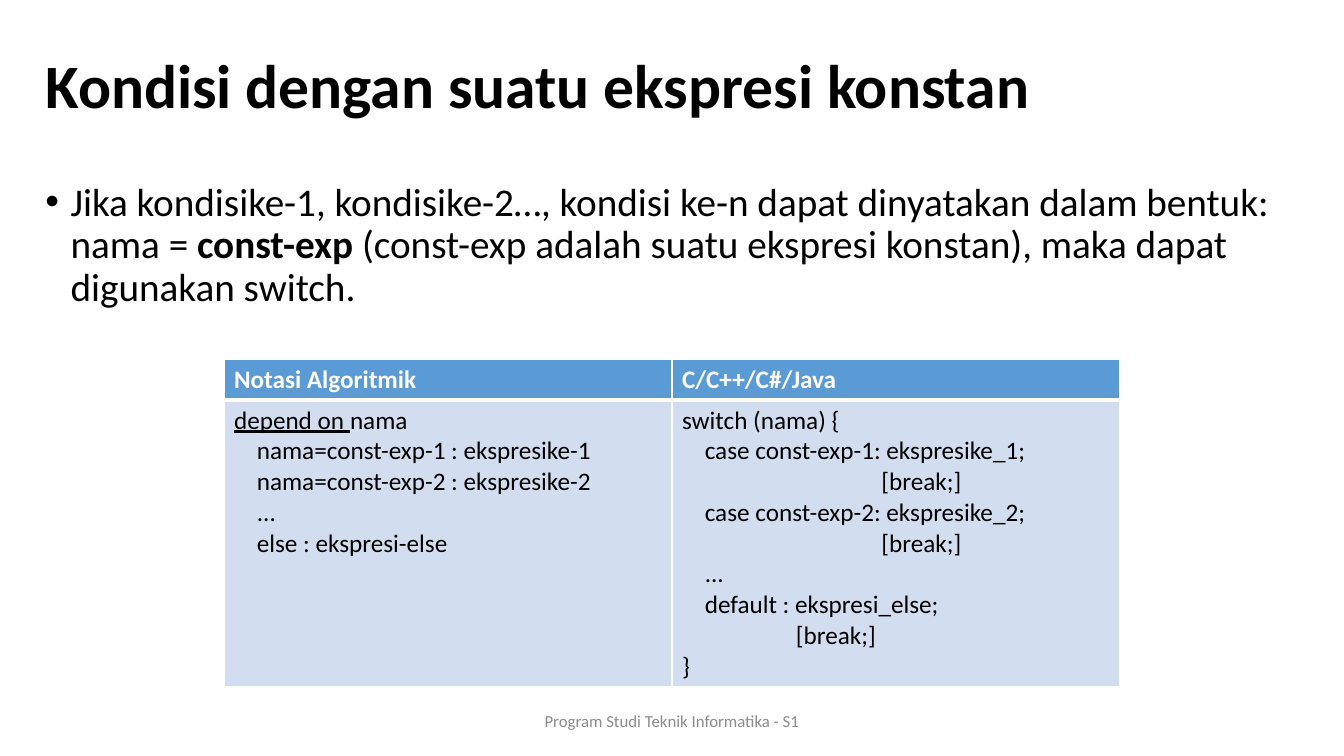
from dataclasses import dataclass

from lxml.etree import SubElement
from pptx import Presentation
from pptx.dml.color import RGBColor
from pptx.enum.text import MSO_ANCHOR as Anchor, MSO_AUTO_SIZE as AutoSize, PP_ALIGN as Align
from pptx.oxml.ns import qn
from pptx.util import Pt


@dataclass(frozen=True)
class Theme:
    font: str = "Calibri"
    text: str = "000000"
    white: str = "FFFFFF"
    header: str = "5B9BD5"
    cell: str = "D2DEEF"
    footer: str = "8C8C8C"
    title_size: int = 44
    body_size: int = 28
    table_size: int = 18
    footer_size: int = 12


THEME = Theme()
SPACE = 4.07  # width of one blank in the table's type size

ALGORITHM = [
    (0, [("depend on ", {"underline": True}), ("nama", {})]),
    (4, "nama=const-exp-1 : ekspresike-1"),
    (4, "nama=const-exp-2 : ekspresike-2"),
    (4, "..."),
    (4, "else : ekspresi-else"),
]
SWITCH = [
    (0, "switch (nama) {"),
    (4, "case const-exp-1: ekspresike_1;"),
    (35, "[break;]"),
    (4, "case const-exp-2: ekspresike_2;"),
    (35, "[break;]"),
    (4, "..."),
    (4, "default : ekspresi_else;"),
    (20, "[break;]"),
    (0, "}"),
]


def add_text(paragraph, text, size, color=THEME.text, bold=False, underline=False):
    run = paragraph.add_run()
    run.text = text
    font = run.font
    font.name, font.size = THEME.font, Pt(size)
    font.bold, font.underline = bold, underline
    font.color.rgb = RGBColor.from_string(color)


def place(shape, box, anchor):
    shape.left, shape.top, shape.width, shape.height = (Pt(length) for length in box)
    frame = shape.text_frame
    frame.word_wrap = True
    frame.auto_size = AutoSize.NONE
    frame.vertical_anchor = anchor
    return frame.paragraphs[0]


def set_indent(paragraph, left, first=0):
    properties = paragraph._p.get_or_add_pPr()
    properties.set("marL", str(Pt(left)))
    properties.set("indent", str(Pt(first)))
    return properties


def build_title(slide, box):
    paragraph = place(slide.shapes.title, box, Anchor.MIDDLE)
    paragraph.alignment = Align.LEFT
    paragraph.line_spacing = 0.9
    add_text(paragraph, "Kondisi dengan suatu ekspresi konstan", THEME.title_size, bold=True)


def build_body(slide, box):
    paragraph = place(slide.placeholders[1], box, Anchor.TOP)
    paragraph.line_spacing = 0.9
    paragraph.space_before = Pt(10)
    properties = set_indent(paragraph, 18, -18)
    SubElement(properties, qn("a:buFont"), typeface="Arial")
    SubElement(properties, qn("a:buChar"), char="•")
    size = THEME.body_size
    add_text(paragraph, "Jika kondisike-1, kondisike-2…, kondisi ke-n dapat dinyatakan "
                        "dalam bentuk: nama = ", size)
    add_text(paragraph, "const-exp ", size, bold=True)
    add_text(paragraph, "(const-exp adalah suatu ekspresi konstan), maka dapat "
                        "digunakan switch.", size)


def fill_cell(cell, lines, fill, widths, **text_format):
    cell.fill.solid()
    cell.fill.fore_color.rgb = RGBColor.from_string(fill)
    for number, (blanks, content) in enumerate(lines):
        frame = cell.text_frame
        paragraph = frame.add_paragraph() if number else frame.paragraphs[0]
        set_indent(paragraph, blanks * SPACE)
        runs = [(content, {})] if isinstance(content, str) else content
        for text, extra in runs:
            add_text(paragraph, text, THEME.table_size, **text_format, **extra)
    # Borders come before the fill in the cell's properties
    properties = cell._tc.get_or_add_tcPr()
    for position, (side, width) in enumerate(widths.items()):
        line = SubElement(properties, qn(f"a:ln{side}"), w=str(Pt(width)))
        color = SubElement(SubElement(line, qn("a:solidFill")), qn("a:srgbClr"))
        color.set("val", THEME.white)
        properties.insert(position, line)


def build_table(slide, box, header_height):
    left, top, width, height = box
    table = slide.shapes.add_table(2, 2, *(Pt(length) for length in box)).table
    table.rows[0].height = Pt(header_height)
    table.rows[1].height = Pt(height - header_height)
    columns = [("Notasi Algoritmik", ALGORITHM), ("C/C++/C#/Java", SWITCH)]
    for index, (heading, lines) in enumerate(columns):
        table.columns[index].width = Pt(width / len(columns))
        fill_cell(table.cell(0, index), [(0, heading)], THEME.header,
                  {"L": 1, "R": 1, "T": 1, "B": 3}, color=THEME.white, bold=True)
        fill_cell(table.cell(1, index), lines, THEME.cell,
                  {"L": 1, "R": 1, "T": 3, "B": 1})


def build_footer(slide, box):
    shape = slide.shapes.add_textbox(0, 0, 0, 0)
    paragraph = place(shape, box, Anchor.MIDDLE)
    paragraph.alignment = Align.CENTER
    add_text(paragraph, "Program Studi Teknik Informatika - S1", THEME.footer_size,
             color=THEME.footer)


def main():
    presentation = Presentation()
    presentation.slide_width, presentation.slide_height = Pt(960), Pt(540)
    slide = presentation.slides.add_slide(presentation.slide_layouts[1])
    build_title(slide, (25.2, 10.8, 790.5, 104.4))
    build_body(slide, (25.2, 126.7, 911.5, 363.6))
    build_table(slide, (160, 256.5, 640, 231), header_height=29.2)
    build_footer(slide, (318, 500.5, 324, 28.75))
    presentation.save("out.pptx")


if __name__ == "__main__":
    main()
